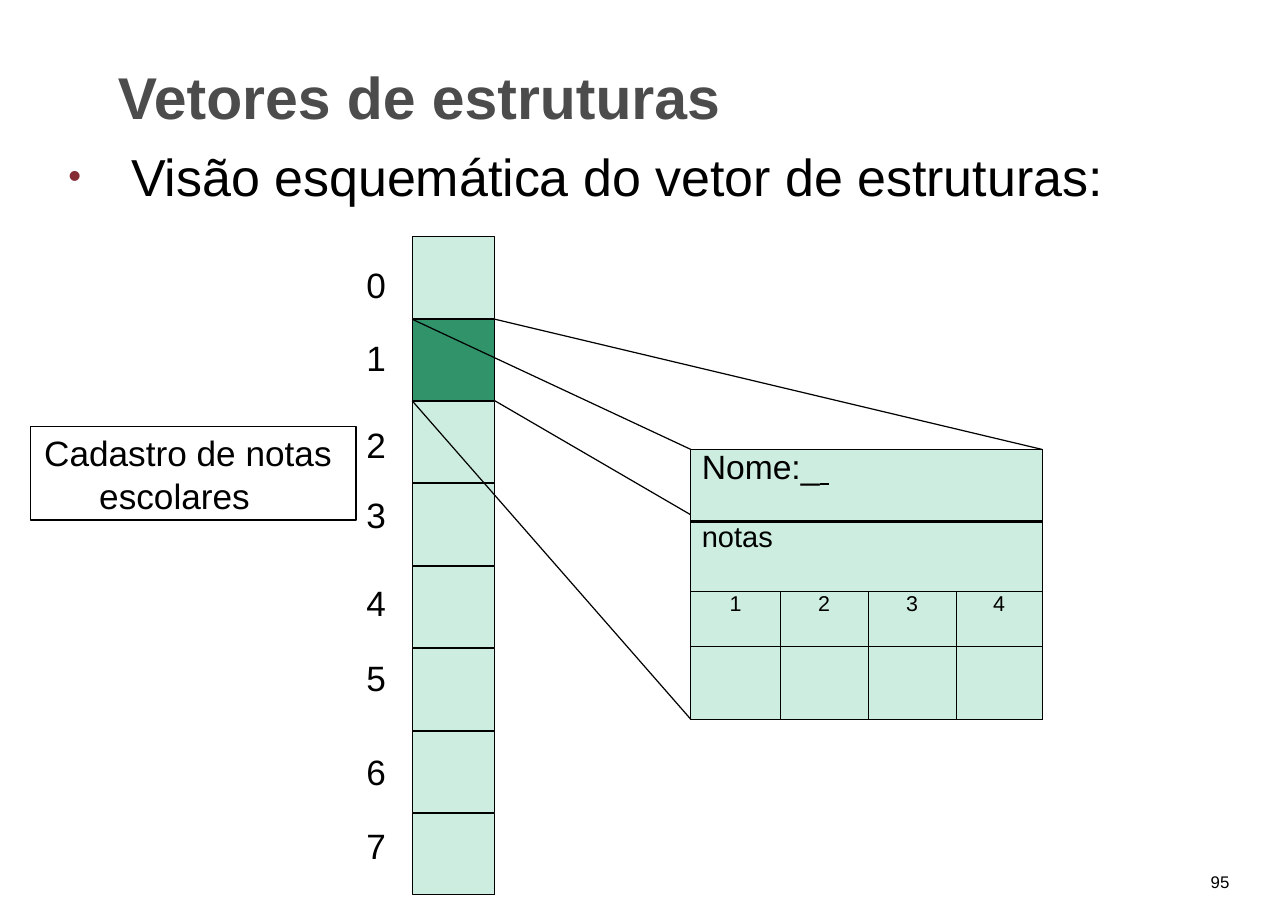
from dataclasses import dataclass
from lxml.etree import SubElement as Sub
from pptx import Presentation
from pptx.dml.color import RGBColor as RGB
from pptx.enum.shapes import MSO_CONNECTOR as Link, MSO_SHAPE as Shape
from pptx.enum.text import MSO_ANCHOR as Anchor, MSO_AUTO_SIZE as Auto, PP_ALIGN as Align
from pptx.oxml.ns import qn
from pptx.util import Inches, Pt

WIDE, HIGH = Inches(11.69), Inches(8.26)


@dataclass(frozen=True)
class Theme:
    face: str = "Arial"
    ink: str = "000000"
    head: str = "4C4C4C"
    dot: str = "852B34"
    pale: str = "CCEDDF"
    deep: str = "31936A"
    title: float = 38.5
    body: float = 34
    label: float = 23
    name: float = 22
    notes: float = 19
    grade: float = 14
    page: float = 11
    thin: float = 0.8
    thick: float = 2.2


LOOK = Theme()
FRAME = dict(margin_left=0, margin_top=0, margin_right=0, margin_bottom=0,
             word_wrap=True, auto_size=Auto.NONE, vertical_anchor=Anchor.TOP)

# Grid of 100 columns by 100 rows
CELL_X, CELL_Y, CELL_W, CELL_H, STEP = 32, 26.03, 6.42, 8.96, 9.05
CARD_X, CARD_Y = 53.64, 49.39
CARD_COLS = [6.93, 6.84, 6.84, 6.67]
CARD_ROWS = [7.87, 7.75, 6.05, 7.99]
INDEX_Y = [28.93, 36.92, 46.49, 54.24, 63.92, 72.15, 82.5, 90.6]
PICKED = 1


def col(n):
    return round(WIDE * n / 100)


def row(n):
    return round(HIGH * n / 100)


def area(x, y, w, h):
    return col(x), row(y), col(w), row(h)


def put(item, **vals):
    for key, val in vals.items():
        setattr(item, key, val)


def write(frame, text, size, color=LOOK.ink, bold=False, **para):
    """Fill the first paragraph and return it."""
    line = frame.paragraphs[0]
    line.text = text
    put(line, **{"alignment": Align.LEFT, "space_before": Pt(0), **para})
    put(line.font, name=LOOK.face, size=Pt(size), bold=bold)
    line.font.color.rgb = RGB.from_string(color)
    return line


def indent(line, left, first=0):
    put_xml(line._p.get_or_add_pPr(), marL=Inches(left), indent=Inches(first))


def put_xml(node, **vals):
    for key, val in vals.items():
        node.set(key, str(val))
    return node


def holder(shape, box, text, size, **style):
    put(shape, **dict(zip(("left", "top", "width", "height"), box)))
    put(shape.text_frame, **FRAME)
    return write(shape.text_frame, text, size, **style)


def bullet(line):
    props = line._p.get_or_add_pPr()
    for kid in list(props):
        if kid.tag.startswith(qn("a:bu")):
            props.remove(kid)
    marks = [Sub(props, qn("a:" + tag)) for tag in ("buClr", "buSzPct", "buFont", "buChar")]
    put_xml(Sub(marks[0], qn("a:srgbClr")), val=LOOK.dot)
    put_xml(marks[1], val=70000)
    put_xml(marks[2], typeface=LOOK.face)
    put_xml(marks[3], char="•")
    # Paragraph defaults close the element
    tail = props.find(qn("a:defRPr"))
    if tail is not None:
        props.append(tail)


def label(slide, box, text, size, **para):
    frame = slide.shapes.add_textbox(*area(*box)).text_frame
    put(frame, **FRAME)
    write(frame, text, size, **para)


def block(slide, box, fill=None):
    shape = slide.shapes.add_shape(Shape.RECTANGLE, *area(*box))
    shape.shadow.inherit = False
    if fill:
        shape.fill.solid()
        shape.fill.fore_color.rgb = RGB.from_string(fill)
    else:
        shape.fill.background()
    shape.line.color.rgb = RGB.from_string(LOOK.ink)
    shape.line.width = Pt(LOOK.thin)
    return shape


def join(slide, start, end):
    ends = [f(n) for spot in (start, end) for f, n in zip((col, row), spot)]
    line = slide.shapes.add_connector(Link.STRAIGHT, *ends)
    line.line.color.rgb = RGB.from_string(LOOK.ink)
    line.line.width = Pt(LOOK.thin)
    Sub(line._element.spPr, qn("a:effectLst"))


def border(cell, **widths):
    props = cell._tc.get_or_add_tcPr()
    for side in "LRTB":
        width = Pt(widths.get(side, LOOK.thin))
        edge = put_xml(Sub(props, qn("a:ln" + side)), w=width)
        put_xml(Sub(Sub(edge, qn("a:solidFill")), qn("a:srgbClr")), val=LOOK.ink)


def card(slide):
    """Table with one student's record."""
    box = area(CARD_X, CARD_Y, sum(CARD_COLS), sum(CARD_ROWS))
    grid = slide.shapes.add_table(len(CARD_ROWS), len(CARD_COLS), *box).table
    put(grid, first_row=False, horz_banding=False)
    for part, n in zip(grid.columns, CARD_COLS):
        part.width = col(n)
    for part, n in zip(grid.rows, CARD_ROWS):
        part.height = row(n)
    heavy = [{"B": LOOK.thick}, {"T": LOOK.thick}, {}, {}]
    for r, widths in enumerate(heavy):
        for c in range(len(CARD_COLS)):
            cell = grid.cell(r, c)
            border(cell, **widths)
            put(cell, margin_left=0, margin_right=0, margin_top=0, margin_bottom=0)
            cell.fill.solid()
            cell.fill.fore_color.rgb = RGB.from_string(LOOK.pale)
    for r, (text, size) in enumerate([("Nome:_", LOOK.name), ("notas", LOOK.notes)]):
        grid.cell(r, 0).merge(grid.cell(r, len(CARD_COLS) - 1))
        line = write(grid.cell(r, 0).text_frame, text, size)
        indent(line, 0.1)
        if r == 0:
            blank = line.add_run()
            blank.text = " "
            blank.font.underline = True
    for c in range(len(CARD_COLS)):
        write(grid.cell(2, c).text_frame, str(c + 1), LOOK.grade, alignment=Align.CENTER)


def main():
    deck = Presentation()
    put(deck, slide_width=WIDE, slide_height=HIGH)
    slide = deck.slides.add_slide(deck.slide_layouts[1])
    title, body = slide.placeholders
    line = holder(title, area(6.84, 6.66, 86.3, 7.87), "Vetores de estruturas",
                  LOOK.title, color=LOOK.head, bold=True)
    indent(line, 0.27)
    line = holder(body, area(5.13, 15.86, 83.3, 6.9),
                  "Visão esquemática do vetor de estruturas:", LOOK.body)
    indent(line, 0.59, -0.57)
    bullet(line)

    left, right = CELL_X, CELL_X + CELL_W
    top = CELL_Y + PICKED * STEP
    base = top + CELL_H
    end_x, end_y = CARD_X + sum(CARD_COLS), CARD_Y + sum(CARD_ROWS)
    join(slide, (right, base), (end_x, end_y))
    card(slide)

    note = block(slide, (2.4, 46.85, 25.24, 10.29))
    put(note.text_frame, **{**FRAME, "margin_top": Inches(0.05)})
    indent(write(note.text_frame, "Cadastro de notas escolares", LOOK.label), 0.62, -0.5)

    for n, y in enumerate(INDEX_Y):
        fill = LOOK.deep if n == PICKED else LOOK.pale
        block(slide, (CELL_X, CELL_Y + n * STEP, CELL_W, CELL_H), fill)
        label(slide, (28.45, y, 1.8, 4.7), str(n), LOOK.label)

    join(slide, (right, top), (end_x, CARD_Y))
    join(slide, (left, top), (CARD_X, CARD_Y))
    join(slide, (left, base), (CARD_X, end_y))
    label(slide, (94, 95.88, 2, 2.18), "95", LOOK.page, line_spacing=Pt(12.6))
    deck.save("out.pptx")


if __name__ == "__main__":
    main()
